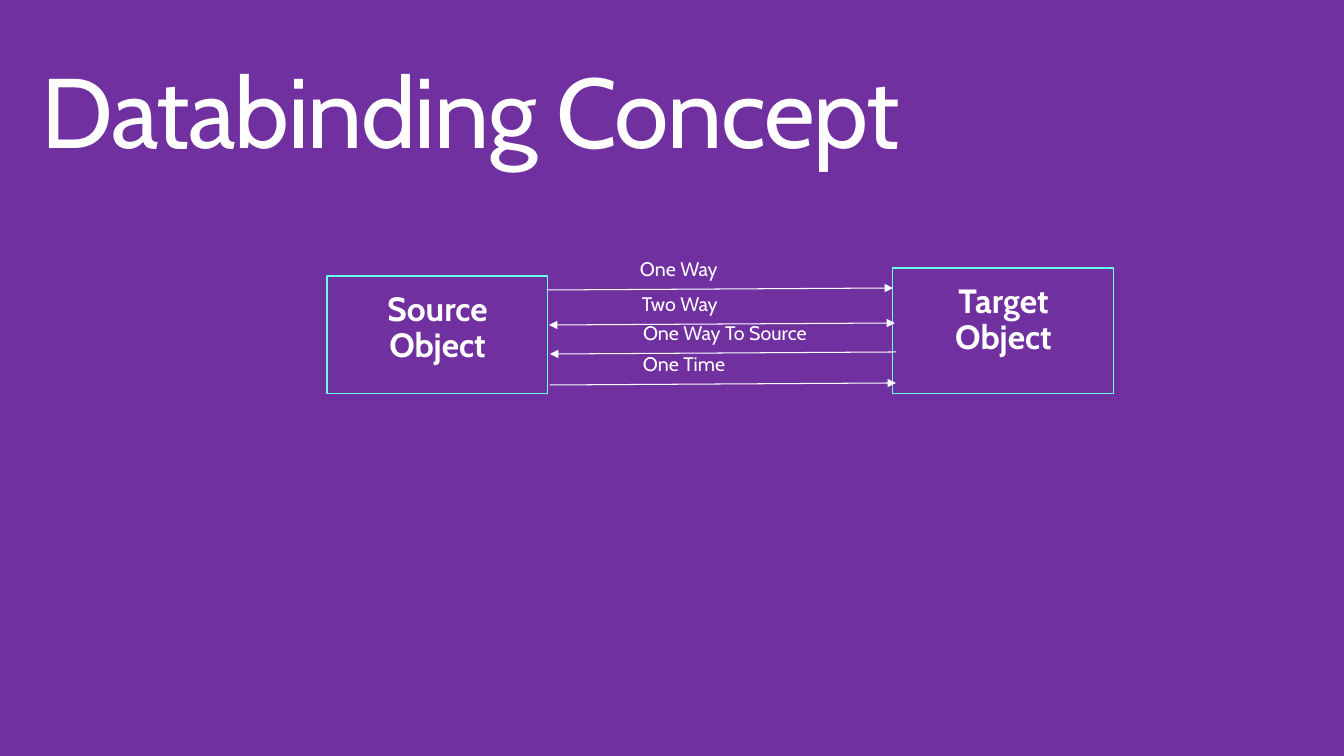
from lxml.etree import SubElement as Sub
from pptx import Presentation
from pptx.dml.color import RGBColor
from pptx.enum.shapes import MSO_CONNECTOR as Conn, MSO_SHAPE as Shape
from pptx.enum.text import MSO_ANCHOR as Anchor, MSO_AUTO_SIZE as Auto, PP_ALIGN as Align
from pptx.oxml.ns import qn
from pptx.util import Pt

SCALE = 914400 / 100.8  # EMU per px


def px(*vals):
    return [round(v * SCALE) for v in vals]


def color(text):
    return RGBColor.from_string(text)


class Deck:
    font, ink, back, edge = "Cabin", "FFFFFF", "7030A0", "67FFEC"

    def __init__(self, wide, high):
        self.prs = Presentation()
        self.prs.slide_width, self.prs.slide_height = px(wide, high)
        self.slide = self.prs.slides.add_slide(self.prs.slide_layouts[5])
        fill = self.slide.background.fill
        fill.solid()
        fill.fore_color.rgb = color(self.back)

    def put(self, shape, text, size, pad, align=Align.LEFT, bold=False, after=0, fit=Auto.NONE):
        frame = shape.text_frame
        frame.text = text
        frame.word_wrap = True
        frame.auto_size = fit
        frame.vertical_anchor = Anchor.TOP
        frame.margin_left, frame.margin_top, frame.margin_right, frame.margin_bottom = px(*pad * 2)
        para = frame.paragraphs[0]
        para.alignment = align
        para.line_spacing = 0.9
        para.space_before, para.space_after = Pt(0), Pt(after)
        run = para.runs[0]
        run.font.name, run.font.size, run.font.bold = self.font, Pt(size), bold
        run.font.color.rgb = color(self.ink)
        return run

    def title(self, text, *area):
        shape = self.slide.shapes.title
        shape.left, shape.top, shape.width, shape.height = px(*area)
        run = self.put(shape, text, 70.6, (16, 10), fit=Auto.SHAPE_TO_FIT_TEXT)
        run.font._element.set("spc", "-100")

    def box(self, text, *area):
        shape = self.slide.shapes.add_shape(Shape.RECTANGLE, *px(*area))
        shape.shadow.inherit = False
        shape.fill.solid()
        shape.fill.fore_color.rgb = color(self.back)
        shape.line.color.rgb = color(self.edge)
        shape.line.width = Pt(0.75)
        self.put(shape, text, 24, (20, 16), Align.CENTER, bold=True)

    def label(self, text, *area):
        shape = self.slide.shapes.add_textbox(*px(*area))
        self.put(shape, text, 14, (20, 16), after=6, fit=Auto.SHAPE_TO_FIT_TEXT)

    def arrow(self, ends, *points):
        link = self.slide.shapes.add_connector(Conn.STRAIGHT, *px(*points))
        link.line.color.rgb = color(self.ink)
        link.line.width = Pt(0.75)
        props = link._element.spPr
        for end in ends:
            Sub(props.find(qn("a:ln")), qn(f"a:{end}End"), type="triangle")
        Sub(props, qn("a:effectLst"))


def main():
    deck = Deck(1344, 756)
    deck.title("Databinding Concept", 26, 53, 1087, 128)

    # Bound objects
    deck.box("Target Object", 893, 268, 221, 126)
    deck.box("Source Object", 327, 276, 221, 118)

    # Binding modes: each label sits above its arrow
    modes = [
        ("One Way", 547, 290, 180, ["tail"]),
        ("Two Way", 549, 325, 180, ["head", "tail"]),
        ("One Way To Source", 550, 354, 273, ["head"]),
        ("One Time", 550, 385, 180, ["tail"]),
    ]
    for name, x, y, wide, ends in modes:
        deck.arrow(ends, x, y, x + 346, y - 2)
        deck.label(name, x + 73, y - 41, wide, 54)

    deck.prs.save("out.pptx")


if __name__ == "__main__":
    main()
